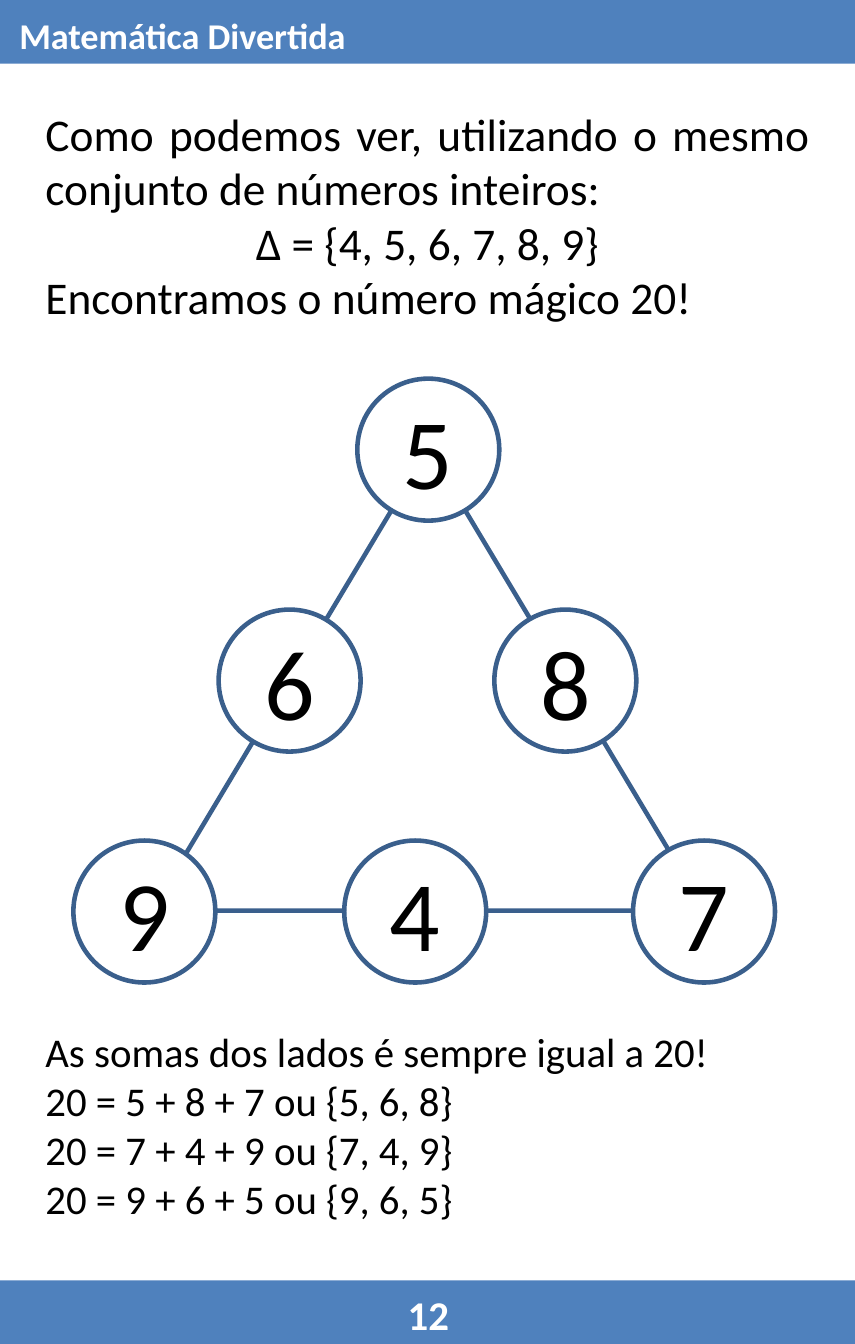
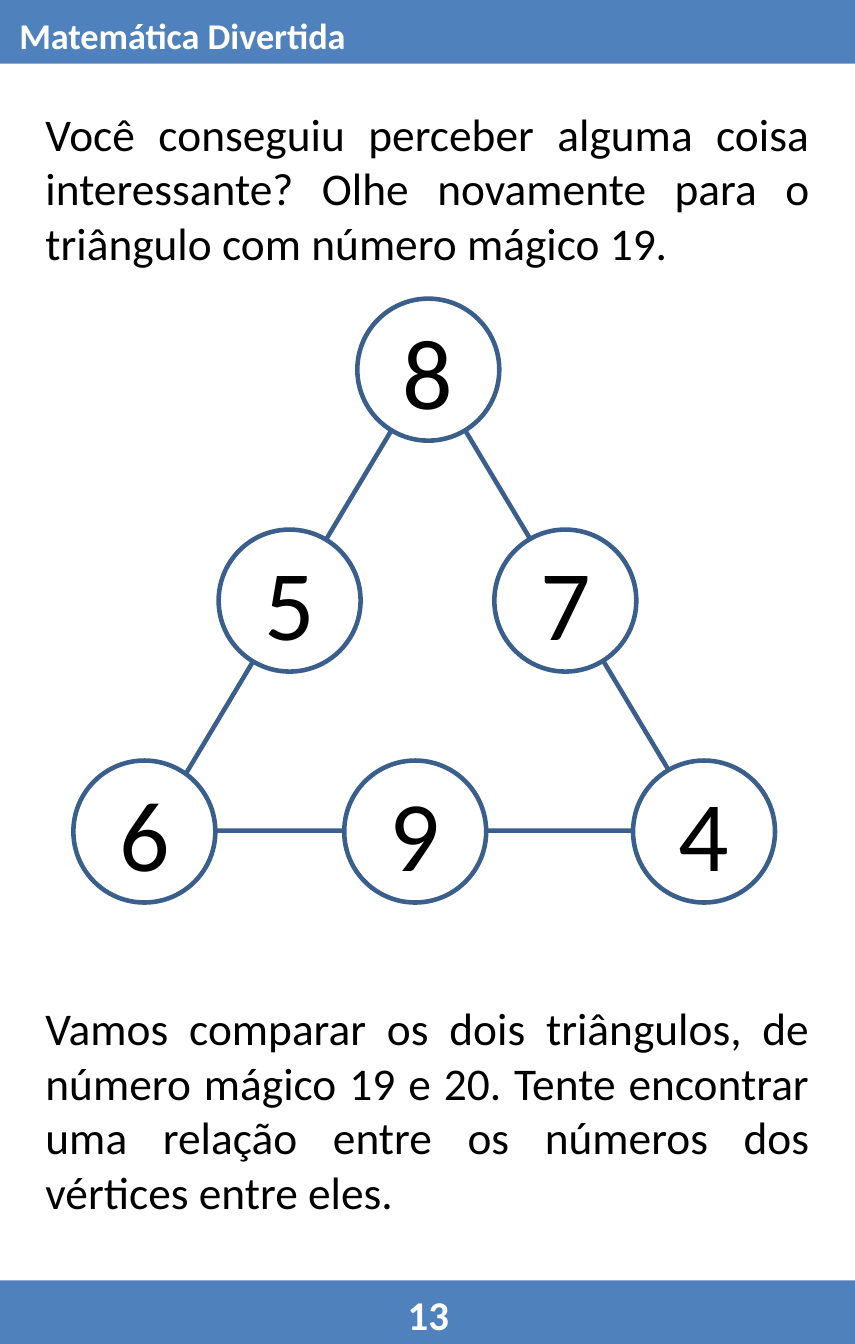
from pptx import Presentation
from pptx.dml.color import RGBColor
from pptx.enum.shapes import MSO_SHAPE
from pptx.enum.text import MSO_ANCHOR, PP_ALIGN
from pptx.util import Emu, Inches, Pt

PAGE_WIDTH, PAGE_HEIGHT = Emu(4791075), Emu(7529513)
BAND_HEIGHT = 0.39
BAND_BLUE, OUTLINE_BLUE = "4F81BD", "3A5F8C"
WHITE, BLACK = "FFFFFF", "000000"
FONT = "Calibri"
BOOK_TITLE = "Matemática Divertida"

TEXT_LEFT, TEXT_WIDTH = 0.18, 4.88
CIRCLE_SIZE = 0.87
TRIANGLE_HEIGHT = 2.83
ROW_STEP = TRIANGLE_HEIGHT / 2
# Left edge and row of each circle: apex, left side, base from left to right, right side
CIRCLE_SPOTS = [(2.19, 0), (1.34, 1), (0.45, 2), (2.11, 2), (3.88, 2), (3.03, 1)]


def color(hex_value):
    return RGBColor.from_string(hex_value)


def style_paragraph(paragraph, text, size, align, text_color=BLACK, bold=False):
    paragraph.text = text
    paragraph.alignment = align
    font = paragraph.font
    font.name, font.size, font.bold = FONT, Pt(size), bold
    font.color.rgb = color(text_color)


def add_text(slide, box, lines, size, text_color=BLACK, bold=False):
    """Add a text box; lines holds (text, alignment) pairs."""
    frame = slide.shapes.add_textbox(*map(Inches, box)).text_frame
    frame.word_wrap = True
    for index, (text, align) in enumerate(lines):
        paragraph = frame.add_paragraph() if index else frame.paragraphs[0]
        style_paragraph(paragraph, text, size, align, text_color, bold)


def add_figure(slide, preset, box, fill=None, outline=None):
    figure = slide.shapes.add_shape(preset, *map(Inches, box))
    figure.shadow.inherit = False
    if fill:
        figure.fill.solid()
        figure.fill.fore_color.rgb = color(fill)
    else:
        figure.fill.background()
    if outline:
        figure.line.color.rgb = color(outline)
        figure.line.width = Pt(2)
    else:
        figure.line.fill.background()
    return figure


def add_page(prs, number):
    """Add a slide with the title band and the page number band."""
    slide = prs.slides.add_slide(prs.slide_layouts[6])
    for top in (PAGE_HEIGHT.inches - BAND_HEIGHT, 0):
        add_figure(slide, MSO_SHAPE.RECTANGLE,
                   (0, top, PAGE_WIDTH.inches, BAND_HEIGHT), BAND_BLUE)
    add_text(slide, (2.35, 7.85, 0.55, 0.4), [(str(number), PP_ALIGN.CENTER)], 18, WHITE, True)
    add_text(slide, (0.02, 0.03, 2.6, 0.37), [(BOOK_TITLE, PP_ALIGN.LEFT)], 16, WHITE, True)
    return slide


def add_magic_triangle(slide, top, numbers):
    """Draw the triangle with its six numbered circles, in the order of CIRCLE_SPOTS."""
    add_figure(slide, MSO_SHAPE.ISOSCELES_TRIANGLE,
               (0.93, top + 0.43, 3.39, TRIANGLE_HEIGHT), outline=OUTLINE_BLUE)
    for (left, row), number in zip(CIRCLE_SPOTS, numbers):
        circle = add_figure(slide, MSO_SHAPE.OVAL,
                            (left, top + row * ROW_STEP, CIRCLE_SIZE, CIRCLE_SIZE),
                            WHITE, OUTLINE_BLUE)
        frame = circle.text_frame
        frame.vertical_anchor = MSO_ANCHOR.MIDDLE
        style_paragraph(frame.paragraphs[0], str(number), 44, PP_ALIGN.CENTER)


def add_body(slide, top, height, lines, size=20):
    add_text(slide, (TEXT_LEFT, top, TEXT_WIDTH, height), lines, size)


def main():
    prs = Presentation()
    prs.slide_width, prs.slide_height = PAGE_WIDTH, PAGE_HEIGHT
    justify = PP_ALIGN.JUSTIFY

    magic_20 = add_page(prs, 12)
    add_magic_triangle(magic_20, 2.32, [5, 6, 9, 4, 7, 8])
    add_body(magic_20, 0.6, 1.45, [
        ("Como podemos ver, utilizando o mesmo conjunto de números inteiros:", justify),
        ("∆ = {4, 5, 6, 7, 8, 9}", PP_ALIGN.CENTER),
        ("Encontramos o número mágico 20!", justify),
    ])
    add_body(magic_20, 6.24, 1.31, [
        ("As somas dos lados é sempre igual a 20!", justify),
        ("20 = 5 + 8 + 7 ou {5, 6, 8}", justify),
        ("20 = 7 + 4 + 9 ou {7, 4, 9}", justify),
        ("20 = 9 + 6 + 5 ou {9, 6, 5}", justify),
    ], 18)

    magic_19 = add_page(prs, 13)
    add_body(magic_19, 0.6, 1.11, [
        ("Você conseguiu perceber alguma coisa interessante? Olhe novamente "
         "para o triângulo com número mágico 19.", justify),
    ])
    add_magic_triangle(magic_19, 1.83, [8, 5, 6, 9, 4, 7])
    add_body(magic_19, 6.08, 1.45, [
        ("Vamos comparar os dois triângulos, de número mágico 19 e 20. Tente "
         "encontrar uma relação entre os números dos vértices entre eles.", justify),
    ])

    prs.save("out.pptx")


if __name__ == "__main__":
    main()
